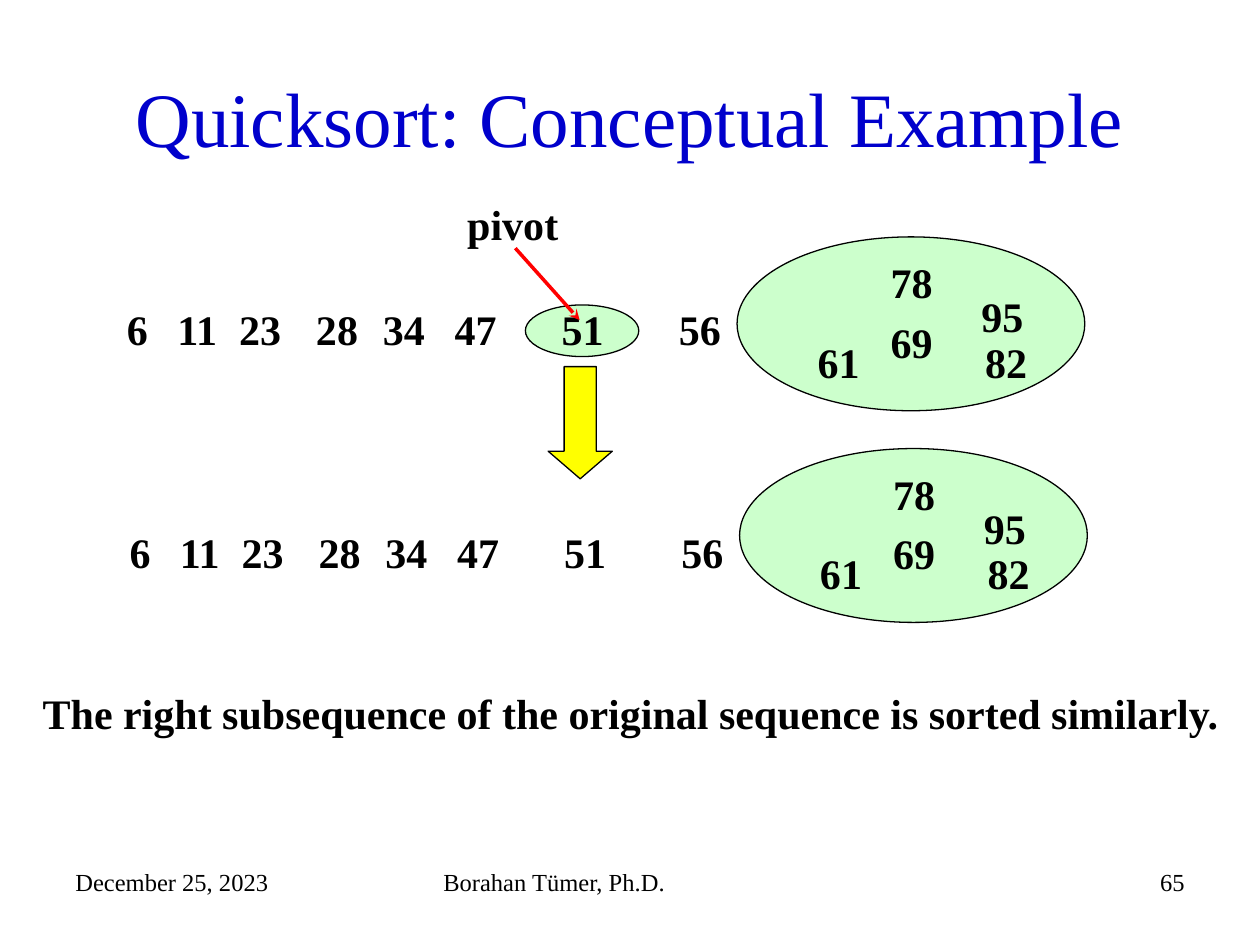
from lxml import etree
from pptx import Presentation
from pptx.dml.color import RGBColor
from pptx.enum import shapes, text
from pptx.oxml import ns
from pptx.util import Inches, Pt

FONT = "Times New Roman"
COLORS = {
    "ink": "000000",
    "title": "0000CC",
    "group": "CCFFCC",
    "step": "FFFF00",
    "pointer": "FF0000",
}
# Left edge of each number in the sorted row
SORTED_LEFTS = {
    "6": 0.91, "11": 1.31, "23": 1.8, "28": 2.41,
    "34": 2.94, "47": 3.51, "51": 4.36, "56": 5.29,
}
# Offset of each unsorted number from the corner of its ellipse
UNSORTED_OFFSETS = {
    "82": (1.87, 0.74), "78": (1.12, 0.11), "95": (1.84, 0.38),
    "69": (1.12, 0.58), "61": (0.54, 0.74),
}
ROW_SHIFT = 0.02  # the lower row sits slightly to the right


def color(name):
    return RGBColor.from_string(COLORS[name])


def add_label(slide, words, left, top, width, height=0.5, size=24, bold=True,
              ink="ink", align=text.PP_ALIGN.LEFT, wrap=False):
    box = slide.shapes.add_textbox(
        Inches(left), Inches(top), Inches(width), Inches(height))
    frame = box.text_frame
    frame.word_wrap = wrap
    paragraph = frame.paragraphs[0]
    paragraph.text = words
    paragraph.alignment = align
    font = paragraph.font
    font.name, font.size, font.bold = FONT, Pt(size), bold
    font.color.rgb = color(ink)
    return frame


def add_outlined(slide, preset, left, top, width, height, fill):
    outlined = slide.shapes.add_shape(
        preset, Inches(left), Inches(top), Inches(width), Inches(height))
    outlined.shadow.inherit = False
    outlined.fill.solid()
    outlined.fill.fore_color.rgb = color(fill)
    outlined.line.color.rgb = color("ink")
    outlined.line.width = Pt(0.75)
    return outlined


def add_pointer(slide, start, end):
    """Red line with a stealth arrowhead at its end."""
    pointer = slide.shapes.add_connector(
        shapes.MSO_CONNECTOR.STRAIGHT, *map(Inches, start + end))
    pointer.line.color.rgb = color("pointer")
    pointer.line.width = Pt(2)
    etree.SubElement(pointer.line._get_or_add_ln(), ns.qn("a:tailEnd"),
                     type="stealth")
    etree.SubElement(pointer._element.spPr, ns.qn("a:effectLst"))


def add_sequence(slide, numbers_top, group_top, shift=0):
    """Sorted numbers in a row, then the unsorted ones in an ellipse."""
    group_left = 5.85 + shift
    add_outlined(slide, shapes.MSO_SHAPE.OVAL,
                 group_left, group_top, 2.76, 1.38, "group")
    for number, (right, down) in UNSORTED_OFFSETS.items():
        add_label(slide, number, group_left + right, group_top + down, 0.53)
    for number, left in SORTED_LEFTS.items():
        add_label(slide, number, left + shift, numbers_top,
                  0.53 if len(number) == 2 else 0.37)


def add_footer(slide):
    align = text.PP_ALIGN
    for words, left, width, side in (
            ("December 25, 2023", 0.5, 2.33, align.LEFT),
            ("Borahan Tümer, Ph.D.", 3.42, 3.17, align.LEFT),
            ("65", 7.17, 2.33, align.RIGHT)):
        add_label(slide, words, left, 6.83, width, 0.52, size=14, bold=False,
                  align=side, wrap=True)


def main():
    deck = Presentation()
    deck.slide_width, deck.slide_height = Inches(10), Inches(7.5)
    slide = deck.slides.add_slide(deck.slide_layouts[6])

    title = add_label(slide, "Quicksort: Conceptual Example", 0.5, 0.3, 9, 1.25,
                      size=44, bold=False, ink="title",
                      align=text.PP_ALIGN.CENTER, wrap=True)
    title.vertical_anchor = text.MSO_ANCHOR.MIDDLE

    add_outlined(slide, shapes.MSO_SHAPE.OVAL, 4.17, 2.42, 0.9, 0.41, "group")
    add_sequence(slide, 2.36, 1.88)
    step = add_outlined(slide, shapes.MSO_SHAPE.DOWN_ARROW,
                        4.35, 2.91, 0.51, 0.89, "step")
    step.adjustments[1] = 0.43
    add_pointer(slide, (4.09, 1.97), (4.6, 2.54))
    add_label(slide, "pivot", 3.61, 1.53, 0.92)
    add_sequence(slide, 4.13, 3.56, ROW_SHIFT)

    add_label(slide, "The right subsequence of the original sequence "
                     "is sorted similarly.", 0.24, 5.41, 9.55)
    add_footer(slide)
    deck.save("out.pptx")


if __name__ == "__main__":
    main()
